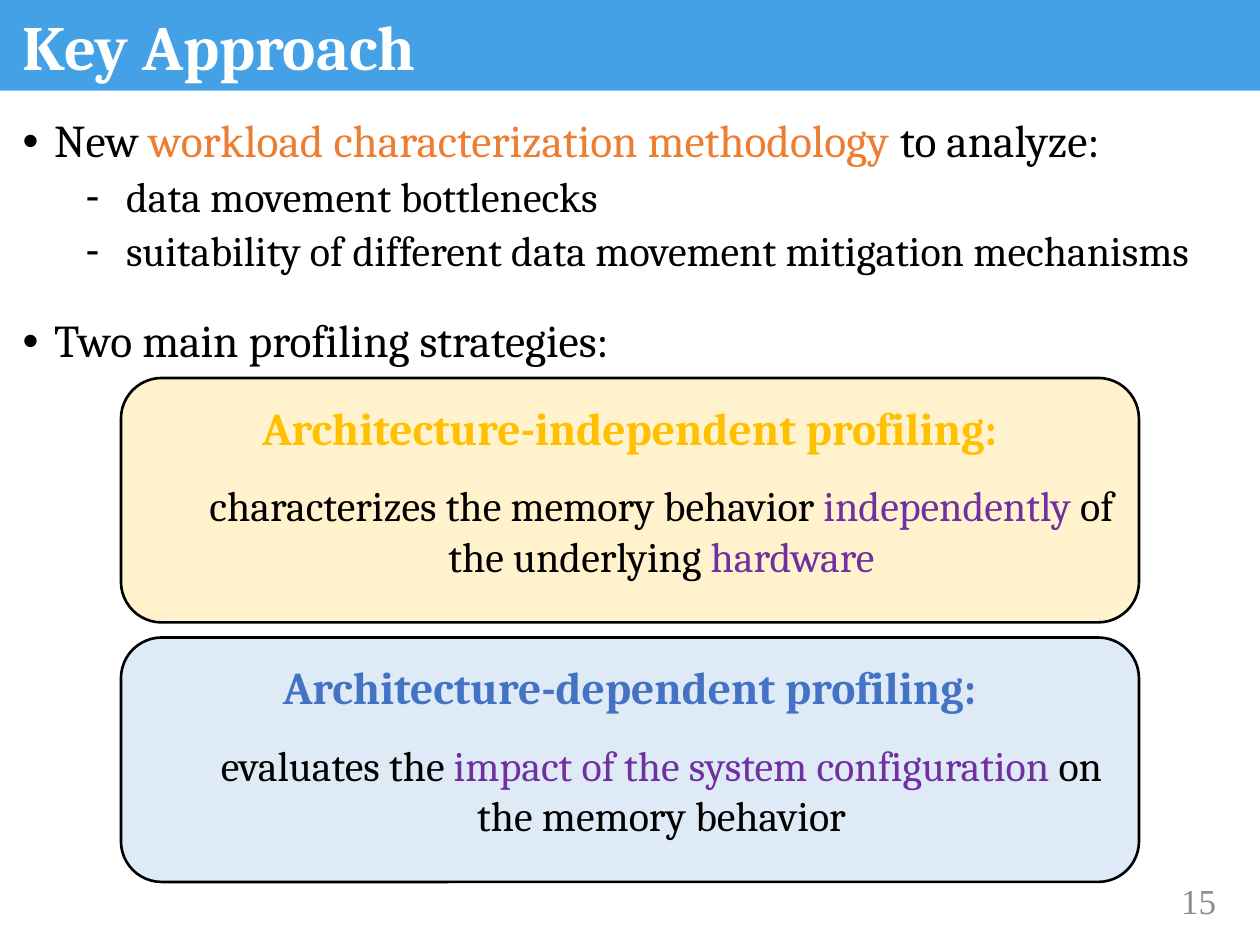
import pptx
import pptx.util
import pptx.dml.color
import pptx.enum.shapes
import pptx.enum.text
import pptx.oxml.ns
from dataclasses import dataclass
from lxml import etree

Inches = pptx.util.Inches
Pt = pptx.util.Pt
Align = pptx.enum.text.PP_ALIGN
Anchor = pptx.enum.text.MSO_ANCHOR
Preset = pptx.enum.shapes.MSO_SHAPE


@dataclass(frozen=True)
class Theme:
    font: str = "Cambria"
    serif: str = "Times New Roman"
    white: str = "FFFFFF"
    black: str = "000000"
    gray: str = "8C8C8C"
    band: str = "45A1E6"
    orange: str = "ED7D31"
    purple: str = "7030A0"
    gold: str = "FFC000"
    cream: str = "FFF2CC"
    blue: str = "4472C4"
    pale: str = "DEEBF7"
    title: int = 36
    head: int = 26
    text: int = 24
    page: int = 20


theme = Theme()


def rgb(code):
    return pptx.dml.color.RGBColor.from_string(code)


def place(shape, box):
    shape.left, shape.top, shape.width, shape.height = map(Inches, box)


def setup(frame, anchor=Anchor.TOP):
    frame.word_wrap = True
    frame.auto_size = pptx.enum.text.MSO_AUTO_SIZE.NONE
    frame.vertical_anchor = anchor


def write(para, parts, size, bold=False, font=theme.font):
    """Add (text, colour) parts to a paragraph as runs."""
    for text, color in parts:
        run = para.add_run()
        run.text = text
        run.font.name = font
        run.font.size = Pt(size)
        run.font.bold = bold
        run.font.color.rgb = rgb(color)


def indent(para, left, hang=0, mark=None):
    props = para._p.get_or_add_pPr()
    props.set("marL", str(Inches(left)))
    props.set("indent", str(Inches(-hang)))
    if mark:
        face = etree.SubElement(props, pptx.oxml.ns.qn("a:buFont"))
        face.set("typeface", "Arial")
        char = etree.SubElement(props, pptx.oxml.ns.qn("a:buChar"))
        char.set("char", mark)


def panel(slide, kind, box, fill, line=None):
    shape = slide.shapes.add_shape(kind, *map(Inches, box))
    shape.shadow.inherit = False
    shape.fill.solid()
    shape.fill.fore_color.rgb = rgb(fill)
    if line:
        shape.line.color.rgb = rgb(line)
        shape.line.width = Pt(1.5)
    else:
        shape.line.fill.background()
    return shape


def header(slide, box, text):
    left, top, width, height = box
    # Band behind the title
    band = panel(slide, Preset.RECTANGLE, box, theme.band)
    slide.shapes._spTree.insert(2, band._element)
    # Title
    title = slide.shapes.title
    place(title, (left + 0.08, top + 0.11, width - 0.17, height + 0.06))
    setup(title.text_frame)
    para = title.text_frame.paragraphs[0]
    para.alignment = Align.LEFT
    para.line_spacing = 0.9
    write(para, [(text, theme.white)], theme.title, bold=True)


def bullets(slide, box, items):
    """Fill the body with (level, space before, parts) items."""
    body = slide.placeholders[1]
    place(body, box)
    frame = body.text_frame
    setup(frame)
    for i, (level, gap, parts) in enumerate(items):
        para = frame.add_paragraph() if i else frame.paragraphs[0]
        para.level = level
        para.line_spacing = 0.9
        para.space_before = Pt(gap)
        if level:
            indent(para, 0.82, 0.32, "-")
        else:
            indent(para, 0.25, 0.25, "•")
        write(para, parts, theme.text if level else theme.head)


def card(slide, box, fill, color, head, parts):
    shape = panel(slide, Preset.ROUNDED_RECTANGLE, box, fill, theme.black)
    frame = shape.text_frame
    setup(frame)
    frame.margin_left = frame.margin_right = Inches(0.08)
    frame.margin_top = Inches(0.08)
    # Heading
    para = frame.paragraphs[0]
    para.alignment = Align.CENTER
    write(para, [(head, color)], theme.head, bold=True)
    # Description
    para = frame.add_paragraph()
    para.alignment = Align.CENTER
    para.level = 1
    para.space_before = Pt(14.5)
    indent(para, 0.5)
    write(para, parts, theme.text)


def footer(slide, box, text):
    frame = slide.shapes.add_textbox(*map(Inches, box)).text_frame
    setup(frame, Anchor.MIDDLE)
    para = frame.paragraphs[0]
    para.alignment = Align.RIGHT
    write(para, [(text, theme.gray)], theme.page, font=theme.serif)


def main():
    deck = pptx.Presentation()
    deck.slide_width, deck.slide_height = Inches(10), Inches(7.5)
    slide = deck.slides.add_slide(deck.slide_layouts[1])
    black, purple = theme.black, theme.purple

    header(slide, (0, -0.03, 10, 0.75), "Key Approach")
    bullets(slide, (0.08, 0.89, 9.83, 5.92), [
        (0, 0, [("New ", black),
                ("workload characterization methodology ", theme.orange),
                ("to analyze:", black)]),
        (1, 5, [("data movement bottlenecks", black)]),
        (1, 5, [("suitability of different data movement mitigation "
                 "mechanisms", black)]),
        (0, 24.5, [("Two main profiling strategies:", black)]),
    ])

    # Two strategy cards, stacked
    cards = [
        (theme.cream, theme.gold, "Architecture-independent profiling:",
         [("characterizes the memory behavior ", black),
          ("independently", purple),
          (" of the underlying ", black),
          ("hardware", purple)]),
        (theme.pale, theme.blue, "Architecture-dependent profiling:",
         [("evaluates the ", black),
          ("impact of the system configuration ", purple),
          ("on the memory behavior", black)]),
    ]
    for i, item in enumerate(cards):
        card(slide, (0.96, 3 + i * 2.06, 8.08, 1.94), *item)

    footer(slide, (8.67, 6.95, 1.08, 0.4), "15")
    deck.save("out.pptx")


if __name__ == "__main__":
    main()
